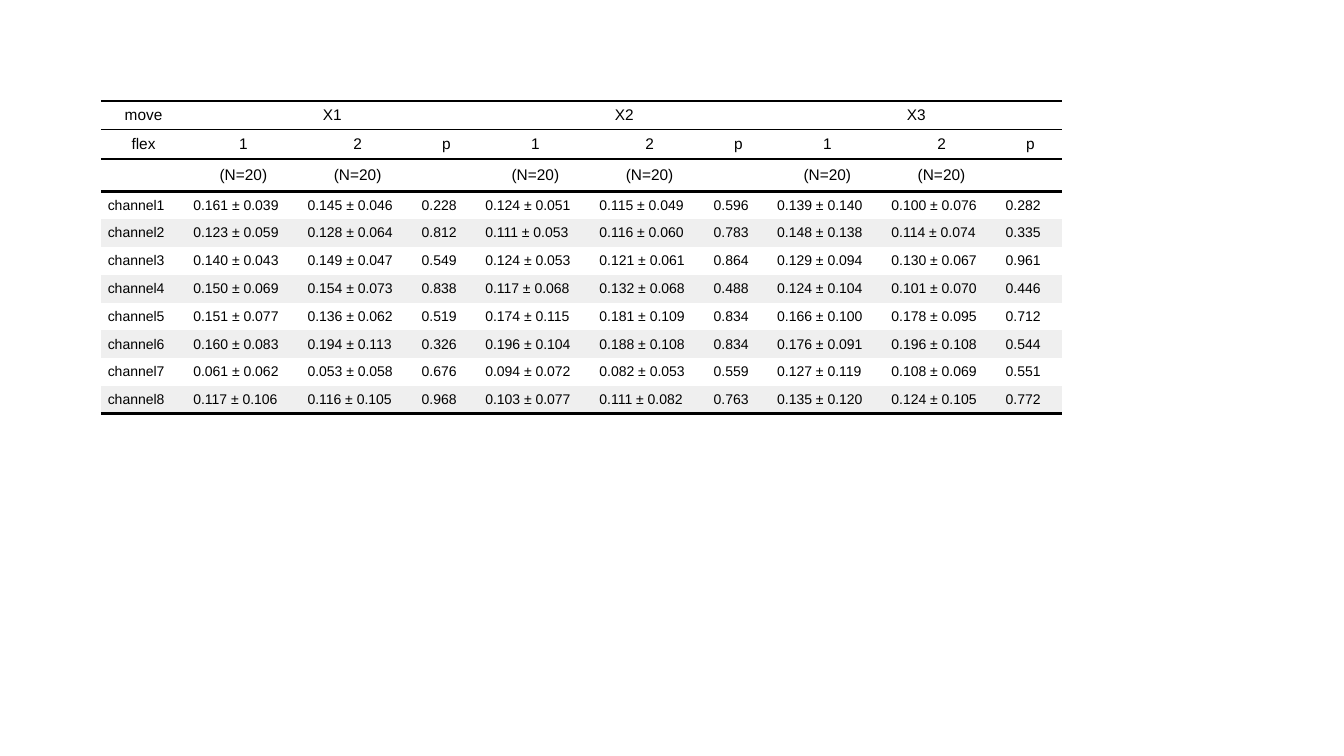
from dataclasses import dataclass

from lxml.etree import SubElement
from pptx import Presentation
from pptx.dml.color import RGBColor
from pptx.enum.text import MSO_ANCHOR, PP_ALIGN
from pptx.oxml.ns import qn
from pptx.util import Pt


@dataclass(frozen=True)
class Theme:
    font: str = "Arial"
    ink: str = "000000"
    stripe: str = "EFEFEF"
    header_size: int = 11
    body_size: int = 10
    thick_rule: int = 2
    thin_rule: int = 1


THEME = Theme()
NO_STYLE = "{2D5ABB26-0587-4C30-8999-92F81FD0307C}"

MOVES = ["X1", "X2", "X3"]
MOVE_SPAN = 3
COLUMN_WIDTHS = [61.1] + [81.6, 81.6, 45.4] * len(MOVES)
HEADER_HEIGHTS = [20.8, 20.8, 23.2]
BODY_HEIGHT = 19.85

MEASUREMENTS = [
    ["0.161 ± 0.039", "0.145 ± 0.046", "0.228", "0.124 ± 0.051", "0.115 ± 0.049", "0.596",
     "0.139 ± 0.140", "0.100 ± 0.076", "0.282"],
    ["0.123 ± 0.059", "0.128 ± 0.064", "0.812", "0.111 ± 0.053", "0.116 ± 0.060", "0.783",
     "0.148 ± 0.138", "0.114 ± 0.074", "0.335"],
    ["0.140 ± 0.043", "0.149 ± 0.047", "0.549", "0.124 ± 0.053", "0.121 ± 0.061", "0.864",
     "0.129 ± 0.094", "0.130 ± 0.067", "0.961"],
    ["0.150 ± 0.069", "0.154 ± 0.073", "0.838", "0.117 ± 0.068", "0.132 ± 0.068", "0.488",
     "0.124 ± 0.104", "0.101 ± 0.070", "0.446"],
    ["0.151 ± 0.077", "0.136 ± 0.062", "0.519", "0.174 ± 0.115", "0.181 ± 0.109", "0.834",
     "0.166 ± 0.100", "0.178 ± 0.095", "0.712"],
    ["0.160 ± 0.083", "0.194 ± 0.113", "0.326", "0.196 ± 0.104", "0.188 ± 0.108", "0.834",
     "0.176 ± 0.091", "0.196 ± 0.108", "0.544"],
    ["0.061 ± 0.062", "0.053 ± 0.058", "0.676", "0.094 ± 0.072", "0.082 ± 0.053", "0.559",
     "0.127 ± 0.119", "0.108 ± 0.069", "0.551"],
    ["0.117 ± 0.106", "0.116 ± 0.105", "0.968", "0.103 ± 0.077", "0.111 ± 0.082", "0.763",
     "0.135 ± 0.120", "0.124 ± 0.105", "0.772"],
]


def table_rows():
    move_row = ["move"]
    for move in MOVES:
        move_row += [move, "", ""]
    flex_row = ["flex"] + ["1", "2", "p"] * len(MOVES)
    count_row = [""] + ["(N=20)", "(N=20)", ""] * len(MOVES)
    channels = [[f"channel{number}"] + values
                for number, values in enumerate(MEASUREMENTS, start=1)]
    return [move_row, flex_row, count_row] + channels


def add_rule(cell, side, width):
    rule = SubElement(cell._tc.get_or_add_tcPr(), qn(f"a:{side}"), w=str(Pt(width)))
    fill = SubElement(rule, qn("a:solidFill"))
    SubElement(fill, qn("a:srgbClr"), val=THEME.ink)


def write_cell(cell, text, size, align):
    cell.margin_left = cell.margin_right = Pt(5)
    cell.margin_top = cell.margin_bottom = Pt(4)
    cell.vertical_anchor = MSO_ANCHOR.MIDDLE
    paragraph = cell.text_frame.paragraphs[0]
    paragraph.alignment = align
    if not text:
        SubElement(paragraph._p, qn("a:endParaRPr"), sz=str(size * 100))
        return
    run = paragraph.add_run()
    run.text = text
    run.font.name = THEME.font
    run.font.size = Pt(size)
    run.font.color.rgb = RGBColor.from_string(THEME.ink)


def fill_cell(cell, striped):
    if striped:
        cell.fill.solid()
        cell.fill.fore_color.rgb = RGBColor.from_string(THEME.stripe)
    else:
        cell.fill.background()


def add_channel_table(slide, left, top):
    rows = table_rows()
    header_count = len(HEADER_HEIGHTS)
    heights = HEADER_HEIGHTS + [BODY_HEIGHT] * len(MEASUREMENTS)
    rules = {
        0: [("lnT", THEME.thick_rule), ("lnB", THEME.thin_rule)],
        1: [("lnT", THEME.thin_rule)],
        header_count - 1: [("lnB", THEME.thick_rule)],
        len(rows) - 1: [("lnB", THEME.thick_rule)],
    }
    table = slide.shapes.add_table(len(rows), len(COLUMN_WIDTHS), Pt(left), Pt(top),
                                   Pt(sum(COLUMN_WIDTHS)), Pt(sum(heights))).table
    table.first_row = table.horz_banding = False
    table._tbl.tblPr.find(qn("a:tableStyleId")).text = NO_STYLE
    for column, width in zip(table.columns, COLUMN_WIDTHS):
        column.width = Pt(width)
    for row_index, (texts, height) in enumerate(zip(rows, heights)):
        table.rows[row_index].height = Pt(height)
        is_header = row_index < header_count
        size = THEME.header_size if is_header else THEME.body_size
        align = PP_ALIGN.CENTER if is_header else PP_ALIGN.LEFT
        striped = not is_header and (row_index - header_count) % 2 == 1
        for column_index, text in enumerate(texts):
            cell = table.cell(row_index, column_index)
            write_cell(cell, text, size, align)
            for side, width in rules.get(row_index, []):
                add_rule(cell, side, width)
            fill_cell(cell, striped)
    for first in range(1, len(COLUMN_WIDTHS), MOVE_SPAN):
        table.cell(0, first).merge(table.cell(0, first + MOVE_SPAN - 1))


def main():
    presentation = Presentation()
    presentation.slide_width = Pt(960)
    presentation.slide_height = Pt(540)
    slide = presentation.slides.add_slide(presentation.slide_layouts[6])
    add_channel_table(slide, 72, 72)
    presentation.save("out.pptx")


if __name__ == "__main__":
    main()
